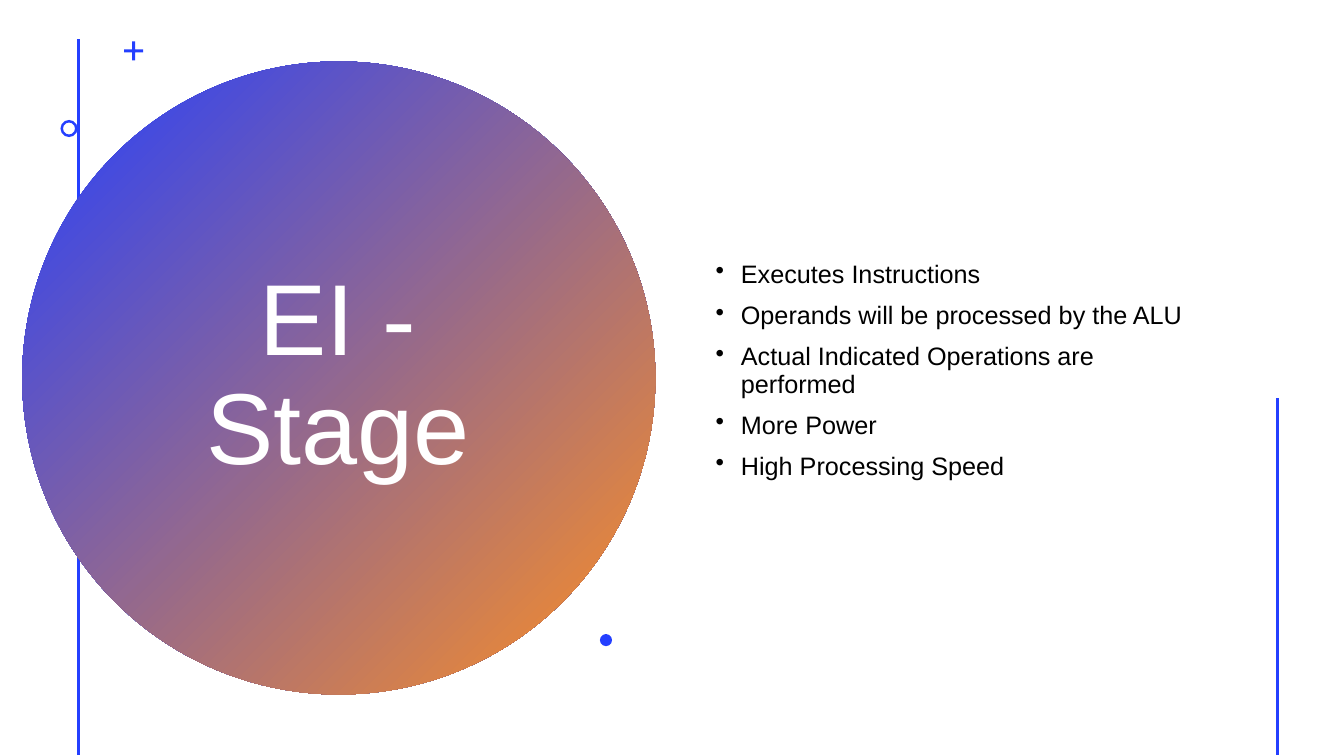
from pptx import Presentation
from pptx.dml.color import RGBColor
from pptx.enum.shapes import MSO_CONNECTOR, MSO_SHAPE
from pptx.enum.text import MSO_ANCHOR, PP_ALIGN
from pptx.oxml.ns import qn
from pptx.util import Inches, Pt
from lxml import etree

OVAL, CROSS, DONUT = MSO_SHAPE.OVAL, MSO_SHAPE.CROSS, MSO_SHAPE.DONUT
STRAIGHT = MSO_CONNECTOR.STRAIGHT
MIDDLE = MSO_ANCHOR.MIDDLE
LEFT, CENTER = PP_ALIGN.LEFT, PP_ALIGN.CENTER

BLUE, ORANGE, WHITE, BLACK = "243FFF", "FF9022", "FFFFFF", "000000"
FONT = "Arial"
POINTS = [
    "Executes Instructions",
    "Operands will be processed by the ALU",
    "Actual Indicated Operations are performed",
    "More Power",
    "High Processing Speed",
]


def color(code):
    return RGBColor.from_string(code)


def add_rule(slide, x, top, bottom):
    rule = slide.shapes.add_connector(
        STRAIGHT, Inches(x), Inches(top), Inches(x), Inches(bottom))
    rule.line.color.rgb = color(BLUE)
    rule.line.width = Pt(2)
    etree.SubElement(rule.line._get_or_add_ln().getparent(), qn("a:effectLst"))


def add_mark(slide, kind, x, y, size, adjust=None):
    mark = slide.shapes.add_shape(
        kind, Inches(x), Inches(y), Inches(size), Inches(size))
    mark.shadow.inherit = False
    mark.fill.solid()
    mark.fill.fore_color.rgb = color(BLUE)
    mark.line.fill.background()
    if adjust is not None:
        mark.adjustments[0] = adjust
    return mark


def add_disc(slide, x, y, size):
    fill = add_mark(slide, OVAL, x, y, size).fill
    fill.gradient()
    fill.gradient_angle = 315
    for stop, code in zip(fill.gradient_stops, (BLUE, ORANGE)):
        stop.color.rgb = color(code)


def add_text(slide, box, lines, size, code, align):
    frame = slide.shapes.add_textbox(*map(Inches, box)).text_frame
    frame.word_wrap = True
    frame.vertical_anchor = MIDDLE
    frame.text = "\n".join(lines)
    for para in frame.paragraphs:
        para.alignment = align
        para.line_spacing = 0.9
        para.font.name = FONT
        para.font.size = Pt(size)
        para.font.color.rgb = color(code)
    return frame


def add_bullets(frame):
    for para in frame.paragraphs:
        para.space_before = Pt(10)
        props = para._p.get_or_add_pPr()
        props.set("marL", str(Inches(0.25)))
        props.set("indent", str(-Inches(0.25)))
        bullet = etree.Element(qn("a:buChar"), char="•")
        props.find(qn("a:defRPr")).addprevious(bullet)


def main():
    deck = Presentation()
    deck.slide_width, deck.slide_height = Inches(13.33), Inches(7.5)
    slide = deck.slides.add_slide(deck.slide_layouts[6])

    # Left rule and title disc
    add_rule(slide, 0.78, 0.39, 7.49)
    add_disc(slide, 0.22, 0.61, 6.28)
    add_text(slide, (1.36, 1.41, 3.99, 4.67), ["EI - Stage"], 72, WHITE, CENTER)

    # Small marks around the disc
    add_mark(slide, CROSS, 1.23, 0.41, 0.19, 0.42)
    add_mark(slide, DONUT, 0.6, 1.19, 0.17, 0.15)
    add_mark(slide, OVAL, 5.95, 6.29, 0.12)

    # Bullet list and right rule
    add_bullets(add_text(slide, (7, 0.42, 5.12, 6.53), POINTS, 18, BLACK, LEFT))
    add_rule(slide, 12.67, 3.95, 7.49)

    deck.save("out.pptx")


if __name__ == "__main__":
    main()
